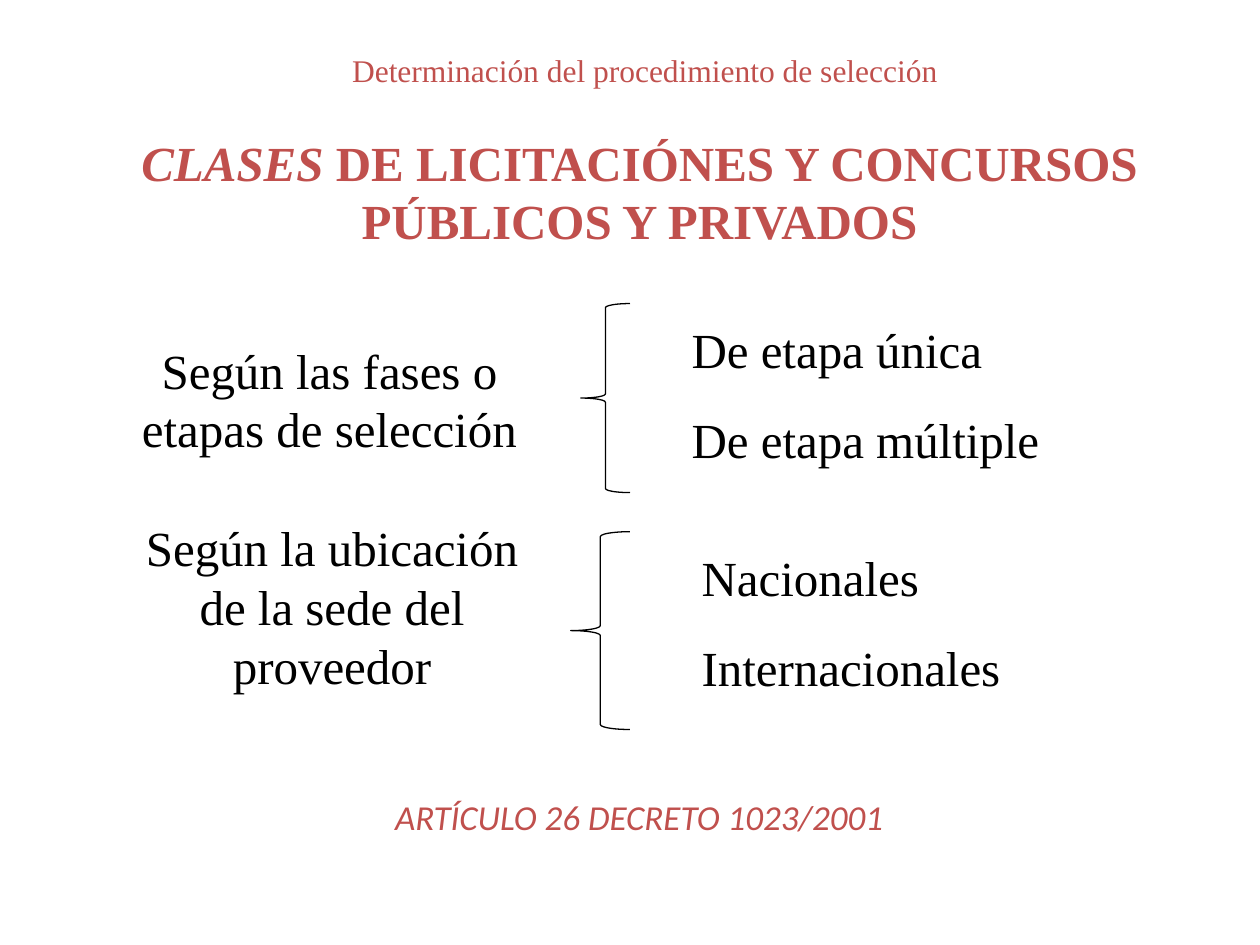
import pptx
import pptx.util
import pptx.dml.color
import pptx.enum.shapes
import pptx.enum.text

Inches = pptx.util.Inches
Pt = pptx.util.Pt
hues = {"red": "C0504D", "ink": "000000"}
align = pptx.enum.text.PP_ALIGN
fit = pptx.enum.text.MSO_AUTO_SIZE.SHAPE_TO_FIT_TEXT

deck = pptx.Presentation()
deck.slide_width = Inches(10)
deck.slide_height = Inches(7.5)
slide = deck.slides.add_slide(deck.slide_layouts[6])


def write(para, text, size=28, hue="ink", font="Times New Roman",
          bold=False, slant=False, side=align.CENTER, gap=0):
    para.alignment = side
    para.space_before = Pt(gap)
    run = para.add_run()
    run.text = text
    run.font.name = font
    run.font.size = Pt(size)
    run.font.bold = bold
    run.font.italic = slant
    run.font.color.rgb = pptx.dml.color.RGBColor.from_string(hues[hue])


def frame(left, top, width, height, wrap=True):
    box = slide.shapes.add_textbox(
        Inches(left), Inches(top), Inches(width), Inches(height))
    box.text_frame.word_wrap = wrap
    box.text_frame.auto_size = fit
    return box.text_frame


body = frame(0.51, 1, 9.13, 5.76)
title = body.paragraphs[0]
write(title, "CLASES", hue="red", bold=True, slant=True)
write(title, " DE LICITACIÓNES Y CONCURSOS", hue="red", bold=True)
write(body.add_paragraph(), "PÚBLICOS Y PRIVADOS", hue="red", bold=True)
write(body.add_paragraph(), "ARTÍCULO 26 DECRETO 1023/2001", size=20,
      hue="red", font="Calibri", slant=True, gap=312)

head = frame(0.67, 0.36, 8.9, 0.4)
write(head.paragraphs[0], "Determinación del procedimiento de selección",
      size=18, hue="red")

groups = [
    ("Según las fases o etapas de selección", (0.98, 2.65, 3.27, 1.04),
     (4.61, 2.41, 0.39, 1.5), 5.39, 2.49,
     [("De etapa única", 2.57), ("De etapa múltiple", 2.99)]),
    ("Según la ubicación de la sede del proveedor", (0.98, 4.06, 3.31, 1.51),
     (4.53, 4.22, 0.47, 1.57), 5.47, 4.3,
     [("Nacionales", 1.94), ("Internacionales", 2.6)]),
]
for label, place, span, left, top, kinds in groups:
    write(frame(*place).paragraphs[0], label)
    brace = slide.shapes.add_shape(
        pptx.enum.shapes.MSO_SHAPE.LEFT_BRACE, *map(Inches, span))
    brace.shadow.inherit = False
    brace.fill.background()
    brace.line.color.rgb = pptx.dml.color.RGBColor.from_string(hues["ink"])
    brace.line.width = Pt(0.75)
    for row, (kind, width) in enumerate(kinds):
        item = frame(left, top + row * 0.71, width, 0.57, wrap=False)
        write(item.paragraphs[0], kind, side=align.LEFT)

deck.save("out.pptx")
